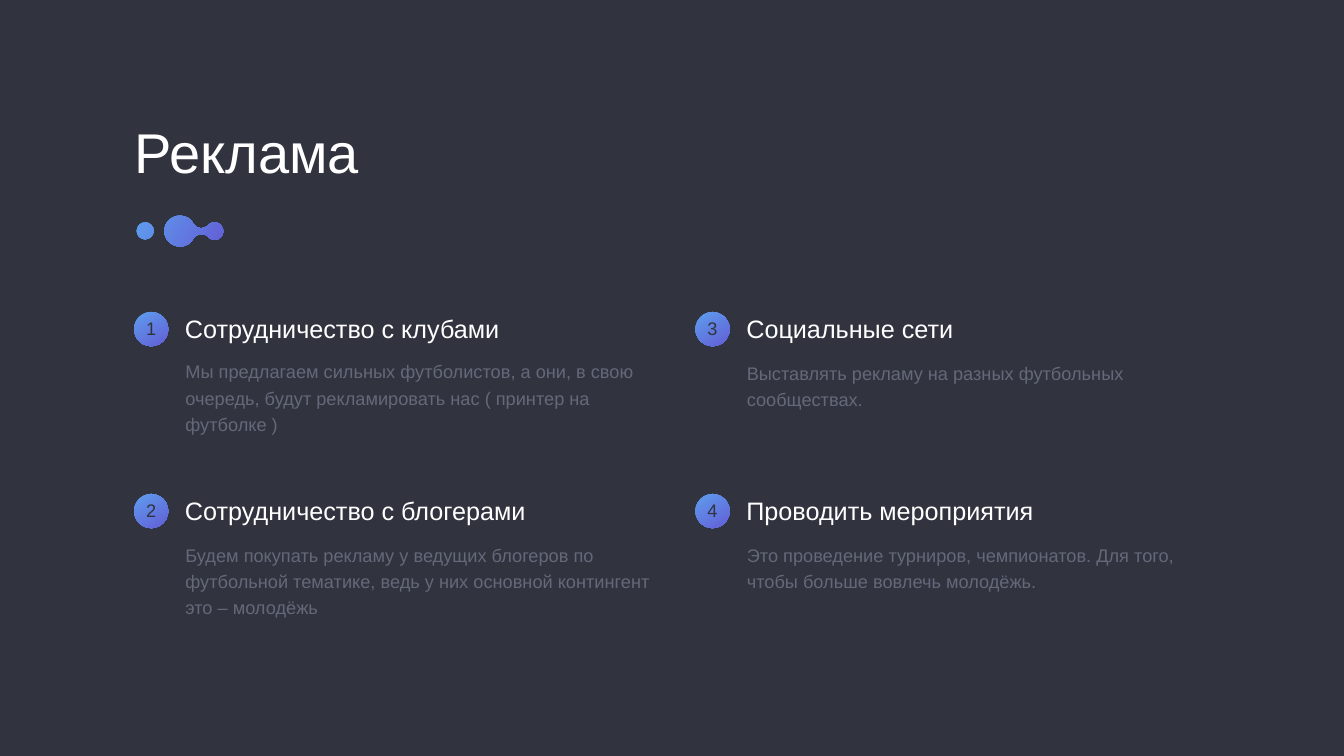
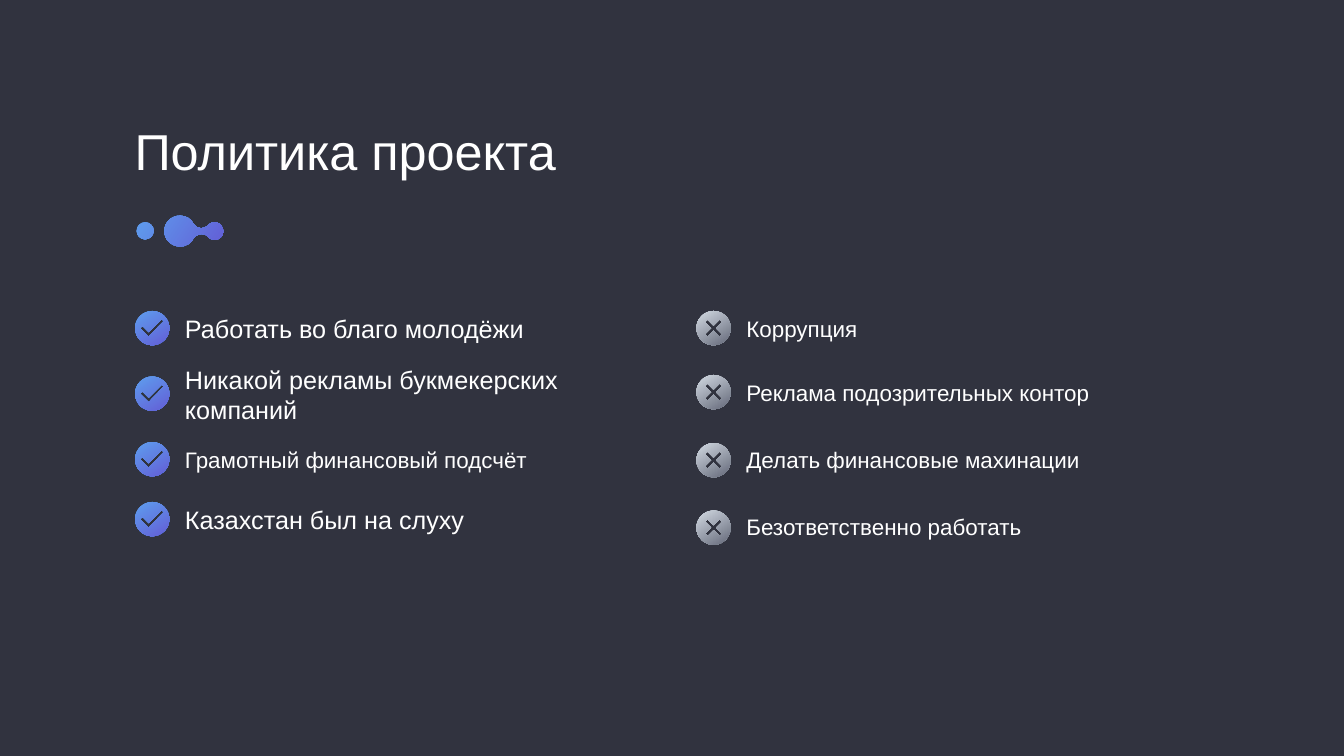
import dataclasses
import itertools

import lxml.etree
import pptx
import pptx.dml.color
import pptx.enum.shapes
import pptx.enum.text
import pptx.oxml.ns
import pptx.util

Inches = pptx.util.Inches
Color = pptx.dml.color.RGBColor.from_string
qn = pptx.oxml.ns.qn
ANCHOR = pptx.enum.text.MSO_ANCHOR
ALIGN = pptx.enum.text.PP_ALIGN
FIT = pptx.enum.text.MSO_AUTO_SIZE


@dataclasses.dataclass(frozen=True)
class Theme:
    font: str = "Arial"
    background: tuple = Color("31333F")
    bright: tuple = Color("FFFFFF")
    muted: tuple = Color("646979")
    blue: tuple = (Color("5E9EEE"), Color("635ED6"))
    grey: tuple = (Color("D4DBE4"), Color("646979"))
    mark_angle: int = 34
    badge_angle: int = 57
    title: int = 80
    long_title: int = 72
    heading: int = 36
    small_heading: int = 32
    body: int = 26


THEME = Theme()
INSET = 0.06
BADGE = 0.68
TITLE_LAYOUT = 5

# A contour is a start point and its segments: one point for a line, three for a curve
MARK_AT = (2.71, 4.28)
MARK_DOT = (0.17, 0.3, 0.17)
MARK_BODY = ((0.87, 0), [
    ((0.70, -0.01), (0.55, 0.13), (0.55, 0.30)),
    ((0.55, 0.47), (0.68, 0.60), (0.85, 0.61)),
    ((0.97, 0.62), (1.08, 0.55), (1.13, 0.45)),
    ((1.16, 0.41), (1.20, 0.38), (1.24, 0.37)),
    ((1.31, 0.35), (1.37, 0.37), (1.42, 0.42)),
    ((1.52, 0.54), (1.72, 0.47), (1.72, 0.31)),
    ((1.72, 0.14), (1.52, 0.07), (1.42, 0.19)),
    ((1.38, 0.23), (1.33, 0.25), (1.28, 0.25)),
    ((1.22, 0.25), (1.16, 0.21), (1.13, 0.16)),
    ((1.08, 0.06), (0.98, 0), (0.87, 0)),
])

# Cut-outs of the round icons, measured from the icon centre
CHECK = [(-0.07, 0.17), (-0.24, 0), (-0.19, -0.04),
         (-0.07, 0.08), (0.19, -0.18), (0.23, -0.14)]
CROSS_ARM = [(0.17, 0.12), (0.12, 0.17), (0, 0.05)]

COLUMNS = (2.66, 13.8)
ROWS = (6.19, 9.8)
# Heading, description, drop below the row top, description lines; by column
CHANNELS = [
    [("Сотрудничество с клубами",
      "Мы предлагаем сильных футболистов, а они, в свою очередь, "
      "будут рекламировать нас ( принтер на футболке )", 0.82, 3),
     ("Сотрудничество с блогерами",
      "Будем покупать рекламу у ведущих блогеров по футбольной тематике, "
      "ведь у них основной контингент это – молодёжь", 0.85, 3)],
    [("Социальные сети",
      "Выставлять рекламу на разных футбольных сообществах.", 0.85, 1),
     ("Проводить мероприятия",
      "Это проведение турниров, чемпионатов. Для того, "
      "чтобы больше вовлечь молодёжь.", 0.85, 2)],
]

# Text, icon top, text middle, type size, lines
DO = [
    ("Работать во благо молодёжи", 6.17, 6.52, THEME.heading, 1),
    ("Никакой рекламы букмекерских компаний", 7.47, 7.82, THEME.heading, 2),
    ("Грамотный финансовый подсчёт", 8.77, 9.11, THEME.small_heading, 1),
    ("Казахстан был на слуху", 9.96, 10.31, THEME.heading, 1),
]
AVOID = [
    ("Коррупция", 6.17, 6.52, THEME.small_heading, 1),
    ("Реклама подозрительных контор", 7.44, 7.78, THEME.small_heading, 1),
    ("Делать финансовые махинации", 8.79, 9.12, THEME.small_heading, 1),
    ("Безответственно работать", 10.13, 10.45, THEME.small_heading, 1),
]


def quarter_turn(points):
    return [(-y, x) for x, y in points]


def circle(x, y, radius):
    """Contour of four curved quarters, starting at the right."""
    bend = 0.55 * radius
    quarter = [(radius, bend), (bend, radius), (0, radius)]
    segments = []
    for _ in range(4):
        segments.append([(x + dx, y + dy) for dx, dy in quarter])
        quarter = quarter_turn(quarter)
    return (x + radius, y), segments


def polygon(points):
    return points[0], [[point] for point in points[1:]]


def cross():
    points, arm = [], CROSS_ARM
    for _ in range(4):
        points += arm
        arm = quarter_turn(arm)
    return points


def paint(shape, colors, angle):
    """Apply a gradient whose angle runs clockwise, without line or shadow."""
    shape.shadow.inherit = False
    shape.line.fill.background()
    shape.fill.gradient()
    shape.fill.gradient_angle = 360 - angle
    for stop, color in zip(shape.fill.gradient_stops, colors):
        stop.color.rgb = color


def draw_outline(slide, left, top, contours, colors, angle):
    def place(point):
        return Inches(left + point[0]), Inches(top + point[1])

    builder = slide.shapes.build_freeform(*place(contours[0][0]))
    for index, (start, segments) in enumerate(contours):
        if index:
            builder.move_to(*place(start))
        builder.add_line_segments([place(segment[-1]) for segment in segments])
    outline = builder.convert_to_shape()
    all_segments = itertools.chain.from_iterable(segments for _, segments in contours)
    for line, segment in zip(list(outline.element.iter(qn("a:lnTo"))), all_segments):
        if len(segment) == 3:
            bend_line(line, [place(point) for point in segment], outline)
    paint(outline, colors, angle)


def bend_line(line, points, outline):
    """Turn a straight path segment into a cubic curve."""
    track = line.getparent()
    curve = lxml.etree.SubElement(track, qn("a:cubicBezTo"))
    for x, y in points:
        lxml.etree.SubElement(curve, qn("a:pt"), x=str(x - outline.left),
                              y=str(y - outline.top))
    track.replace(line, curve)


def write(shape, text, size, color, spacing=1.0, align=ALIGN.LEFT, **frame_format):
    frame = shape.text_frame
    frame.text = text
    frame_values = {"word_wrap": True, "auto_size": FIT.SHAPE_TO_FIT_TEXT,
                    "vertical_anchor": ANCHOR.MIDDLE}
    frame_values.update({f"margin_{side}": Inches(INSET)
                         for side in ("left", "top", "right", "bottom")})
    frame_values.update(frame_format)
    paragraph = frame.paragraphs[0]
    font_values = {"name": THEME.font, "size": pptx.util.Pt(size), "bold": False}
    paragraph_values = {"alignment": align, "line_spacing": spacing}
    for target, values in ((frame, frame_values), (paragraph, paragraph_values),
                           (paragraph.runs[0].font, font_values)):
        for key, value in values.items():
            setattr(target, key, value)
    paragraph.runs[0].font.color.rgb = color


def text_height(size, lines=1):
    return lines * size / 60 + 2 * INSET


def add_heading(slide, text, left, middle, size, lines=1):
    height = text_height(size, lines)
    heading = slide.shapes.add_textbox(
        *map(Inches, (left, middle - height / 2, 7.55, height)))
    write(heading, text, size, THEME.bright)


def add_title(slide, text, size):
    height = text_height(size)
    box = {"left": 2.61, "top": 2.99 - height / 2, "width": 13.18, "height": height}
    for side, length in box.items():
        setattr(slide.shapes.title, side, Inches(length))
    write(slide.shapes.title, text, size, THEME.bright)
    draw_outline(slide, *MARK_AT, [MARK_BODY, circle(*MARK_DOT)],
                 THEME.blue, THEME.mark_angle)


def add_channel(slide, left, top, number, heading, description, drop, lines):
    """Numbered badge with a heading and a description to its right."""
    badge = slide.shapes.add_shape(pptx.enum.shapes.MSO_SHAPE.OVAL,
                                   *map(Inches, (left, top, BADGE, BADGE)))
    paint(badge, THEME.blue, THEME.badge_angle)
    write(badge, str(number), THEME.body, THEME.background, align=ALIGN.CENTER,
          word_wrap=False, auto_size=FIT.NONE, margin_left=0, margin_top=0,
          margin_right=0, margin_bottom=Inches(0.05))
    add_heading(slide, heading, left + 0.95, top + 0.33, THEME.heading)
    body = slide.shapes.add_textbox(
        *map(Inches, (left + 0.96, top + drop, 9.47, text_height(1.2 * THEME.body, lines))))
    write(body, description, THEME.body, THEME.muted, spacing=1.2,
          vertical_anchor=ANCHOR.TOP)


def add_icon_list(slide, left, entries, cutout, colors):
    radius = BADGE / 2
    for text, top, middle, size, lines in entries:
        draw_outline(slide, left + radius, top + radius,
                     [circle(0, 0, radius), polygon(cutout)], colors, THEME.badge_angle)
        add_heading(slide, text, left + 0.93, middle, size, lines)


def add_slide(deck, title, size):
    slide = deck.slides.add_slide(deck.slide_layouts[TITLE_LAYOUT])
    add_title(slide, title, size)
    return slide


def add_advertising_slide(deck):
    slide = add_slide(deck, "Реклама", THEME.title)
    number = 0
    for left, channels in zip(COLUMNS, CHANNELS):
        for top, channel in zip(ROWS, channels):
            number += 1
            add_channel(slide, left, top, number, *channel)


def add_policy_slide(deck):
    slide = add_slide(deck, "Политика проекта", THEME.long_title)
    rules = ((DO, CHECK, THEME.blue), (AVOID, cross(), THEME.grey))
    for left, (entries, cutout, colors) in zip(COLUMNS, rules):
        add_icon_list(slide, left + 0.02, entries, cutout, colors)


def main():
    deck = pptx.Presentation()
    deck.slide_width, deck.slide_height = Inches(26.67), Inches(15)
    background = deck.slide_master.background.fill
    background.solid()
    background.fore_color.rgb = THEME.background
    add_advertising_slide(deck)
    add_policy_slide(deck)
    deck.save("out.pptx")


if __name__ == "__main__":
    main()
